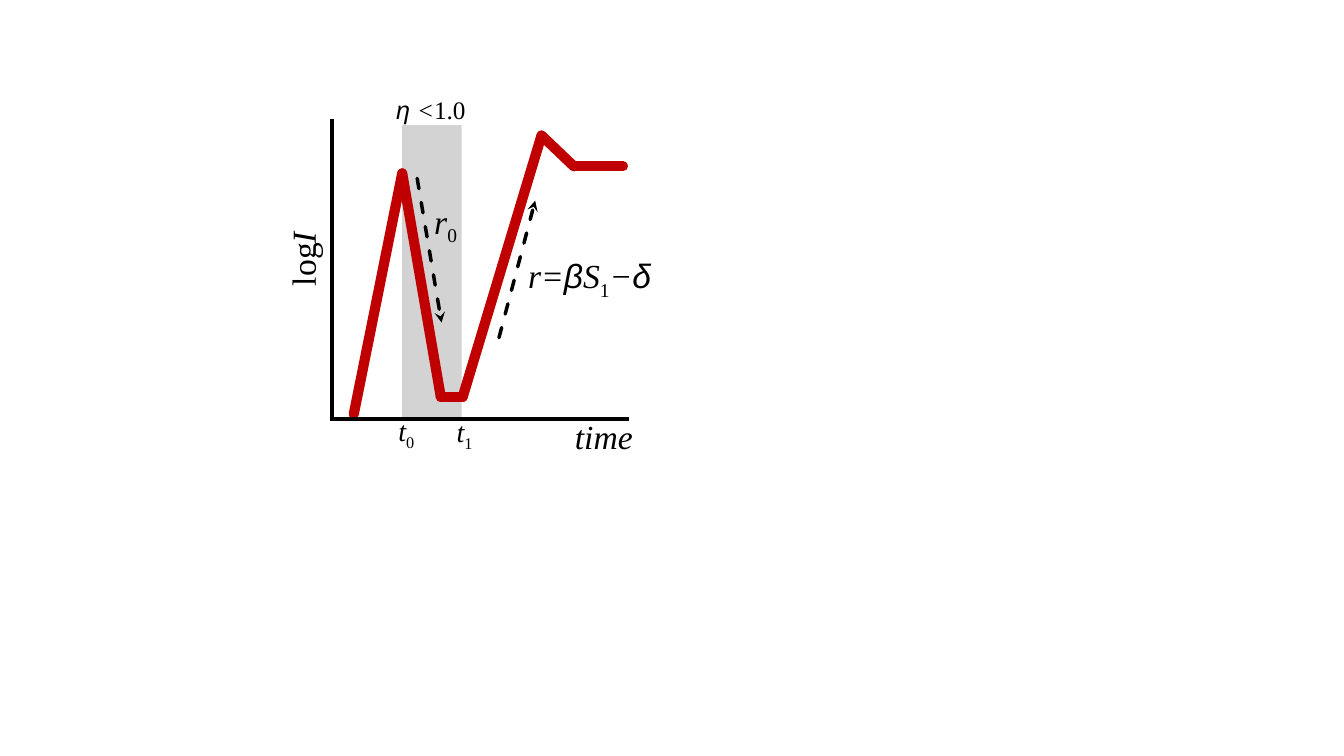
from lxml import etree
from pptx import Presentation
from pptx.dml.color import RGBColor
from pptx.enum import dml, shapes, text
from pptx.oxml import ns
from pptx.util import Pt

BLACK = RGBColor(0, 0, 0)
RED = RGBColor(0xC0, 0, 0)
GREY = RGBColor(0x80, 0x80, 0x80)
SERIF = "Times New Roman"
SANS = "Arial"

deck = Presentation()
deck.slide_width, deck.slide_height = Pt(960), Pt(540)
slide = deck.slides.add_slide(deck.slide_layouts[6])


def draw(start, end, color, width, cap="flat", arrow=False):
    line = slide.shapes.add_connector(
        shapes.MSO_CONNECTOR.STRAIGHT, *map(Pt, start + end))
    line.line.color.rgb = color
    line.line.width = Pt(width)
    ln = line.line._get_or_add_ln()
    ln.set("cap", cap)
    if arrow:
        line.line.dash_style = dml.MSO_LINE.DASH
        etree.SubElement(ln, ns.qn("a:tailEnd"), type="stealth")
    etree.SubElement(line._element.spPr, ns.qn("a:effectLst"))


def write(runs, left, top, width, height, size=24, turn=0, left_set=False):
    box = slide.shapes.add_textbox(*map(Pt, (left, top, width, height)))
    box.rotation = turn
    frame = box.text_frame
    frame.margin_left = frame.margin_right = 0
    frame.margin_top = frame.margin_bottom = 0
    frame.word_wrap = left_set
    frame.auto_size = text.MSO_AUTO_SIZE.SHAPE_TO_FIT_TEXT
    para = frame.paragraphs[0]
    para.alignment = text.PP_ALIGN.LEFT if left_set else text.PP_ALIGN.CENTER
    for words, style in runs:
        run = para.add_run()
        run.text = words
        run.font.size = Pt(size)
        run.font.name = SANS if "sans" in style else SERIF
        run.font.italic = "italic" in style
        run.font.color.rgb = BLACK
        if style == "sub":
            run._r.get_or_add_rPr().set("baseline", "-25000")


band = slide.shapes.add_shape(
    shapes.MSO_SHAPE.RECTANGLE, Pt(287.3), Pt(89.5), Pt(42.5), Pt(208.8))
band.shadow.inherit = False
band.line.fill.background()
band.fill.solid()
band.fill.fore_color.rgb = GREY
tint = band._element.spPr.find(".//" + ns.qn("a:srgbClr"))
etree.SubElement(tint, ns.qn("a:alpha"), val="34000")

draw((236.9, 85), (236.9, 299.5), BLACK, 3)

curve = [(252.7, 295.9), (287.3, 123.8), (314.9, 283.6), (330.5, 283.6),
         (386.8, 96.8), (409.9, 118.8), (445, 118.8)]
for start, end in zip(curve, curve[1:]):
    draw(start, end, RED, 7.25, cap="rnd")

draw((449.3, 299.5), (235.4, 299.5), BLACK, 3)
for start, end in [((298, 127.4), (315.4, 230.4)),
                   ((356.4, 241.2), (382.3, 143.3))]:
    draw(start, end, BLACK, 2.5, cap="rnd", arrow=True)

write([("r", "italic"), ("0", "sub")], 304.6, 143.3, 27.4, 28.8)
write([("r=", "italic"), ("β", "sans italic"), ("S", "italic"), ("1", "sub"),
       ("−", "italic"), ("δ", "sans italic")],
      377.3, 182.2, 100.8, 28.8, left_set=True)
for mark, left, top in [("0", 276.5, 295.2), ("1", 318.2, 295.9)]:
    write([("t", "italic"), (mark, "sub")], left, top, 27.4, 24.5, size=20)
write([("time", "italic")], 410.4, 297.4, 41.8, 28.8)
write([("log", "plain"), ("I", "italic")], 195.1, 170.6, 41.8, 28.8, turn=270)
write([("η ", "sans italic"), ("<", "italic"), ("1.0", "plain")],
      282.2, 67.7, 51.1, 21.6, size=18)

deck.save("out.pptx")
